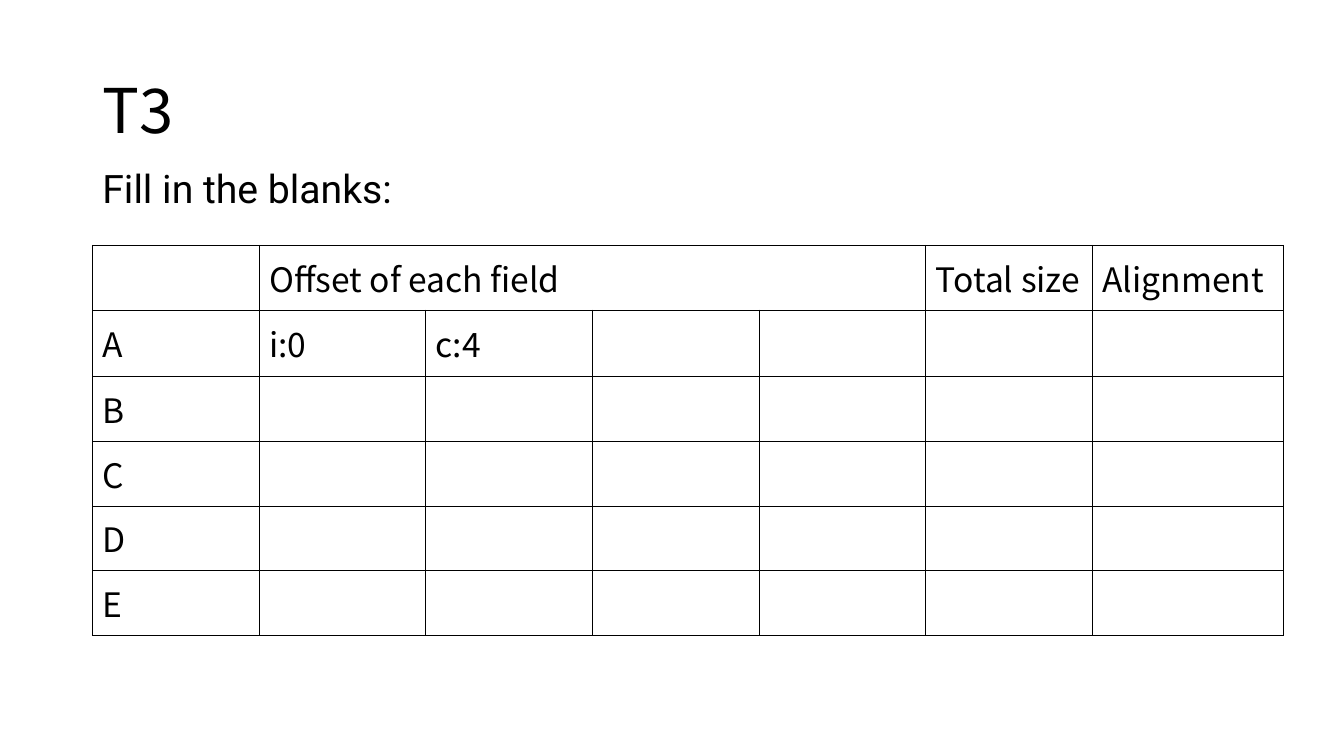
import dataclasses

import lxml.etree
import pptx
import pptx.dml.color
import pptx.enum.text
import pptx.oxml.ns
import pptx.util

Cm, Pt = pptx.util.Cm, pptx.util.Pt
ANCHOR = pptx.enum.text.MSO_ANCHOR


@dataclasses.dataclass
class Theme:
    ink: str = "000000"
    paper: str = "FFFFFF"
    main_font: str = "Noto Sans CJK SC"
    body_font: str = "Roboto"
    title_size: float = 44
    body_size: float = 28
    cell_size: float = 24
    border: float = 0.48


class SlideBuilder:
    def __init__(self, prs, theme):
        self.theme = theme
        self.s = prs.slides.add_slide(prs.slide_layouts[5])

    def color(self, value):
        return pptx.dml.color.RGBColor.from_string(value)

    def add_text(self, tf, text, size, font, spacing=None, before=None):
        p = tf.paragraphs[0]
        p.alignment = pptx.enum.text.PP_ALIGN.LEFT
        p.line_spacing, p.space_before = spacing, before
        r = p.add_run()
        r.text = text
        r.font.size, r.font.name = Pt(size), font
        r.font.color.rgb = self.color(self.theme.ink)

    def title(self, text, left, top, width, height):
        sp = self.s.shapes.title
        sp.left, sp.top, sp.width, sp.height = map(Cm, (left, top, width, height))
        sp.text_frame.vertical_anchor = ANCHOR.MIDDLE
        self.add_text(sp.text_frame, text, self.theme.title_size,
                      self.theme.main_font, spacing=0.9)

    def text(self, text, left, top, width, height):
        sp = self.s.shapes.add_textbox(*map(Cm, (left, top, width, height)))
        sp.text_frame.word_wrap = True
        self.add_text(sp.text_frame, text, self.theme.body_size,
                      self.theme.body_font, spacing=0.9, before=Pt(10))

    def borders(self, cell):
        tag = pptx.oxml.ns.qn
        tc_pr = cell._tc.get_or_add_tcPr()
        for i, side in enumerate(("lnL", "lnR", "lnT", "lnB")):
            ln = lxml.etree.Element(tag("a:" + side), w=str(Pt(self.theme.border)))
            fill = lxml.etree.SubElement(ln, tag("a:solidFill"))
            lxml.etree.SubElement(fill, tag("a:srgbClr"), val=self.theme.ink)
            tc_pr.insert(i, ln)

    def table(self, rows, left, top, widths, heights):
        frame = self.s.shapes.add_table(
            len(heights), len(widths), Cm(left), Cm(top),
            Cm(sum(widths)), Cm(sum(heights)))
        table = frame.table
        table.first_row = table.horz_banding = False
        for column, width in zip(table.columns, widths):
            column.width = Cm(width)
        for row, height in zip(table.rows, heights):
            row.height = Cm(height)
        for cell in table.iter_cells():
            cell.fill.solid()
            cell.fill.fore_color.rgb = self.color(self.theme.paper)
            cell.vertical_anchor = ANCHOR.MIDDLE
            self.borders(cell)
        for i, row in enumerate(rows):
            for j, text in enumerate(row):
                if text:
                    self.add_text(table.cell(i, j).text_frame, text,
                                  self.theme.cell_size, self.theme.main_font)
        return table


def main():
    prs = pptx.Presentation()
    prs.slide_width, prs.slide_height = Cm(33.87), Cm(19.05)
    slide = SlideBuilder(prs, Theme())

    # Heading and instruction
    slide.title("T3", 2.33, 1.01, 29.21, 3.68)
    slide.text("Fill in the blanks:", 2.33, 4.14, 29.21, 1.6)

    # Answer table: one row per struct
    rows = [
        ["", "Offset of each field", "", "", "", "Total size", "Alignment"],
        ["A", "i:0", "c:4"],
        ["B"], ["C"], ["D"], ["E"],
    ]
    table = slide.table(rows, 2.33, 6.18, [4.2] * 6 + [4.8],
                        [1.63, 1.68] + [1.63] * 4)
    table.cell(0, 1).merge(table.cell(0, 4))

    prs.save("out.pptx")


if __name__ == "__main__":
    main()
